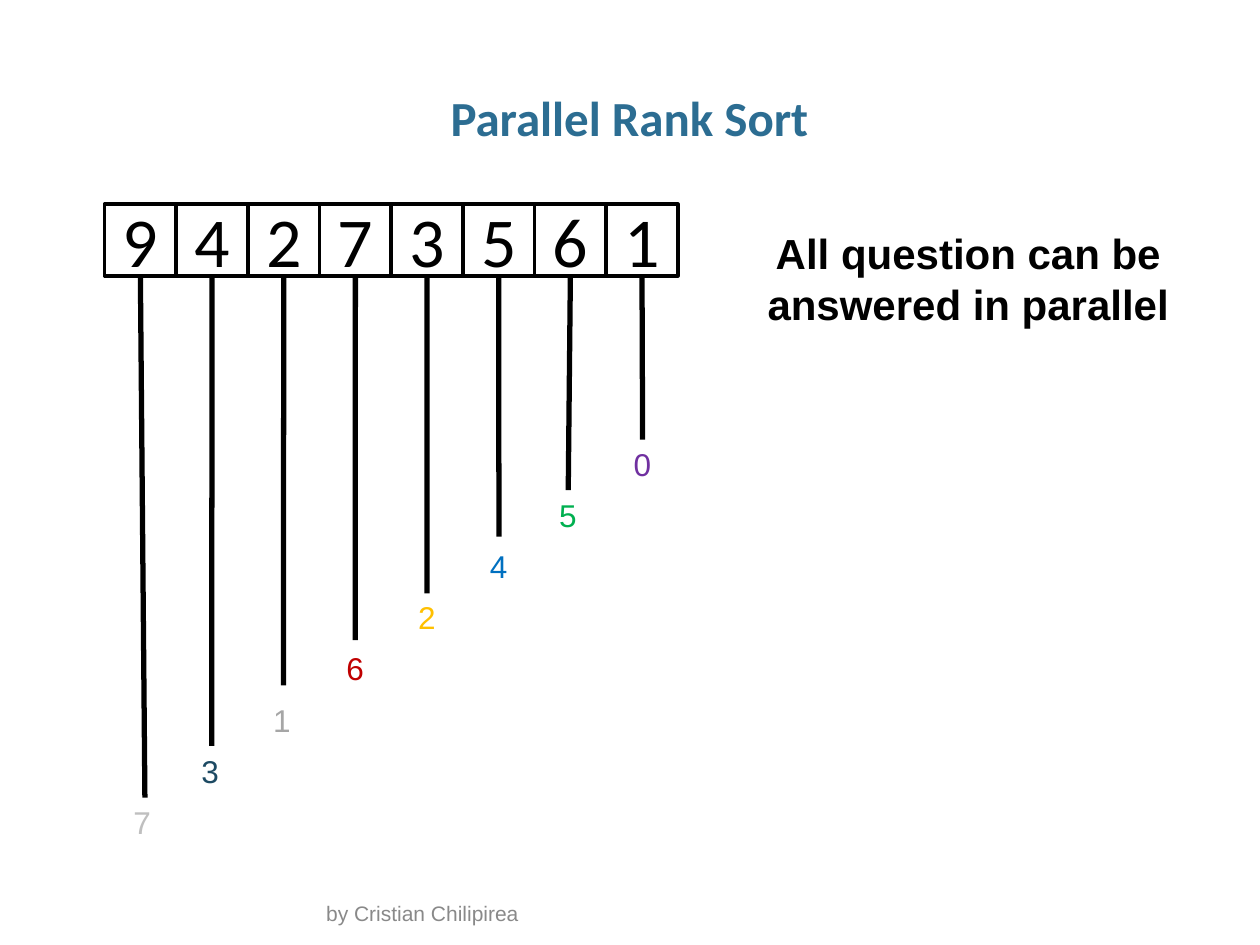
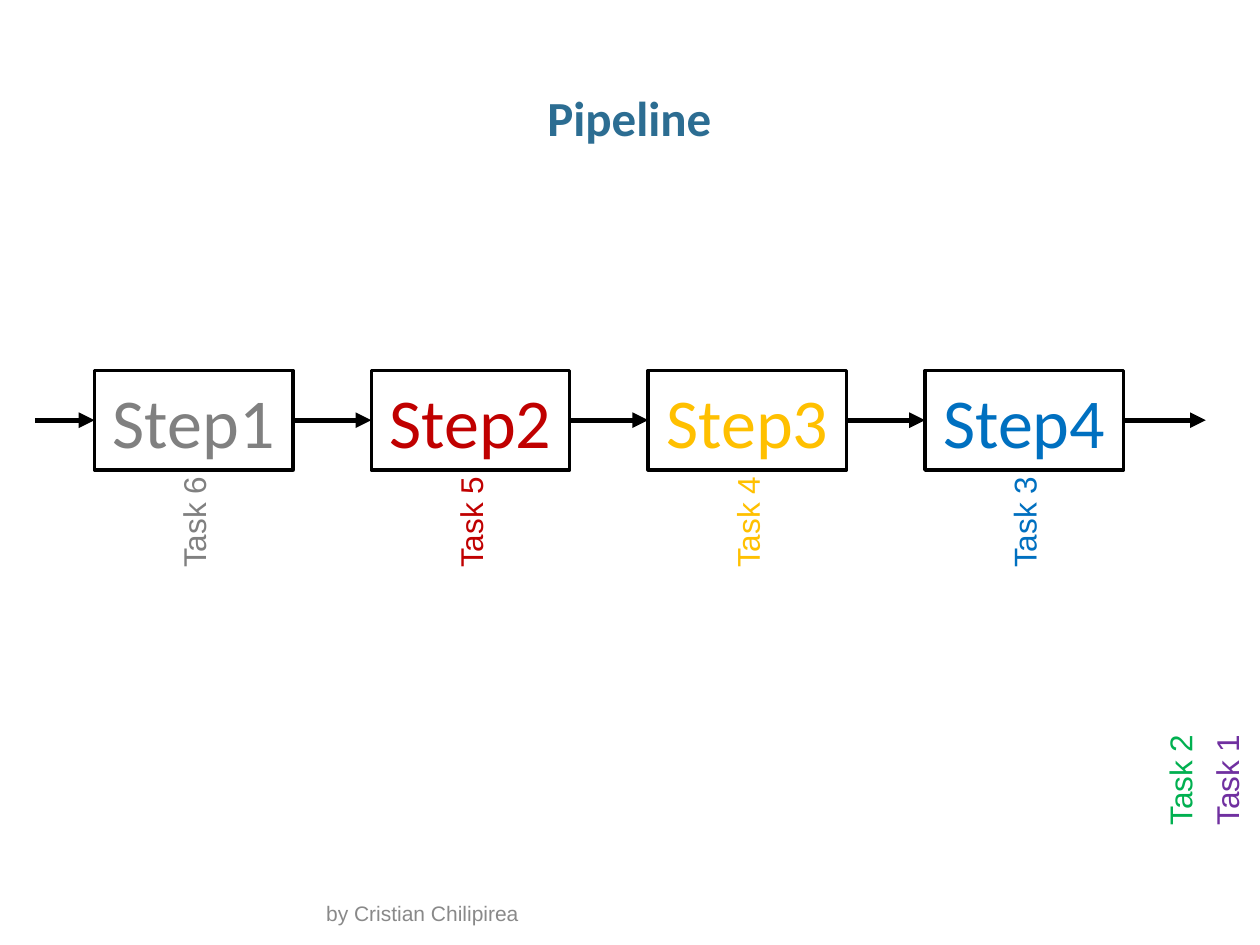
from pptx import Presentation
from pptx.dml.color import RGBColor
from pptx.enum import shapes, text
from pptx.oxml import ns, xmlchemy
from pptx.util import Inches, Pt

BLACK, BLUE, GRAY = "000000", "2C6D92", "898989"
HEAD, BODY = "Calibri", "Arial"
LEFT, MID = text.PP_ALIGN.LEFT, text.PP_ALIGN.CENTER
TOP, CENTER, BOTTOM = (text.MSO_ANCHOR.TOP, text.MSO_ANCHOR.MIDDLE,
                       text.MSO_ANCHOR.BOTTOM)

RANKS = [
    ("9", "7", "BFBFBF", 0.13, 1.15, 6.33),
    ("4", "3", "1D4A63", 0.67, 1.68, 5.92),
    ("2", "1", "A6A6A6", 1.24, 2.25, 5.44),
    ("7", "6", "C00000", 1.82, 2.82, 5.08),
    ("3", "2", "FFC000", 2.39, 3.39, 4.71),
    ("5", "4", "0070C0", 2.96, 3.96, 4.26),
    ("6", "5", "00B050", 3.51, 4.51, 3.89),
    ("1", "0", "7030A0", 4.1, 5.1, 3.49),
]
STEPS = [
    ("Step1", "Task 6", "808080"),
    ("Step2", "Task 5", "C00000"),
    ("Step3", "Task 4", "FFC000"),
    ("Step4", "Task 3", "0070C0"),
]
DONE = [("Task 2", "00B050"), ("Task 1", "7030A0")]


def color(code):
    return RGBColor.from_string(code)


def write(shape, words, size, font, code, bold=False, align=LEFT, anchor=TOP,
          wrap=True):
    frame = shape.text_frame
    frame.word_wrap = wrap
    frame.vertical_anchor = anchor
    para = frame.paragraphs[0]
    para.alignment = align
    run = para.add_run()
    run.text = words
    run.font.size = Pt(size)
    run.font.name = font
    run.font.bold = bold
    run.font.color.rgb = color(code)
    return shape


def label(slide, box, words, size, font, code, **style):
    shape = slide.shapes.add_textbox(*map(Inches, box))
    return write(shape, words, size, font, code, **style)


def cell(slide, box, words, code):
    shape = slide.shapes.add_shape(shapes.MSO_SHAPE.RECTANGLE,
                                   *map(Inches, box))
    shape.shadow.inherit = False
    shape.fill.background()
    shape.line.color.rgb = color(BLACK)
    shape.line.width = Pt(2)
    return write(shape, words, 40, HEAD, code, align=MID, anchor=CENTER)


def link(slide, start, end, arrow=False):
    line = slide.shapes.add_connector(shapes.MSO_CONNECTOR.STRAIGHT,
                                      *map(Inches, start + end))
    line.line.color.rgb = color(BLACK)
    line.line.width = Pt(3)
    if arrow:
        tail = xmlchemy.OxmlElement("a:tailEnd")
        tail.set("type", "triangle")
        line.line._get_or_add_ln().append(tail)
    props = line._element.find(ns.qn("p:spPr"))
    props.append(xmlchemy.OxmlElement("a:effectLst"))
    return line


def page(deck, title):
    slide = deck.slides.add_slide(deck.slide_layouts[6])
    label(slide, (2.49, 7.16, 5.02, 0.24), "by Cristian Chilipirea",
          12, BODY, GRAY, anchor=BOTTOM)
    head = label(slide, (0.34, 0.68, 9.31, 0.5), title, 28, HEAD, BLUE,
                 bold=True, align=MID)
    head.text_frame.margin_left = head.text_frame.margin_right = 0
    head.text_frame.paragraphs[0].line_spacing = 0.95
    return slide


def ranks(slide, box):
    left, top, width, height = box
    side = width / len(RANKS)
    drop = 0.406
    for i, (value, rank, code, shift, x, y) in enumerate(RANKS):
        square = cell(slide, (left + i * side, top, side, side), value, BLACK)
        base = top + height - (i + 1) * drop
        label(slide, (left + shift, base, 0.34, 0.4), rank, 18, BODY, code,
              wrap=False)
        line = link(slide, (left + (i + 0.5) * side, top + side), (x, y))
        line.begin_connect(square, 2)


def task(slide, mid, center, words, code):
    tag = label(slide, (mid - 0.465, center - 0.2, 0.93, 0.4), words, 18,
                BODY, code, wrap=False)
    tag.rotation = 270


def flow(slide, box):
    left, top, width, height = box
    wide, start = 1.575, 0.47
    pitch = 2.197
    axis = top + height / 2
    last = None
    for i, (step, job, code) in enumerate(STEPS):
        x = left + start + i * pitch
        block = cell(slide, (x, top, wide, height), step, code)
        line = link(slide, (left, axis), (x, axis), arrow=True)
        if last:
            line.begin_connect(last, 3)
        line.end_connect(block, 1)
        task(slide, x + wide / 2, top + 1.2, job, code)
        last = block
    out = link(slide, (left + width - 0.66, axis), (left + width, axis),
               arrow=True)
    out.begin_connect(last, 3)


def finish(slide, box):
    left, top, width, height = box
    for i, (job, code) in enumerate(DONE):
        task(slide, left + (i + 0.5) * width / len(DONE), top + height / 2,
             job, code)


def main():
    deck = Presentation()
    deck.slide_width, deck.slide_height = Inches(10), Inches(7.5)

    sort = page(deck, "Parallel Rank Sort")
    ranks(sort, (0.83, 1.62, 4.55, 5.11))
    label(sort, (5.85, 1.76, 3.67, 0.91),
          "All question can be answered in parallel", 24, BODY, BLACK,
          bold=True, align=MID)

    pipe = page(deck, "Pipeline")
    flow(pipe, (0.28, 2.94, 9.29, 0.79))
    finish(pipe, (9.18, 5.72, 0.74, 0.93))

    deck.save("out.pptx")


if __name__ == "__main__":
    main()
